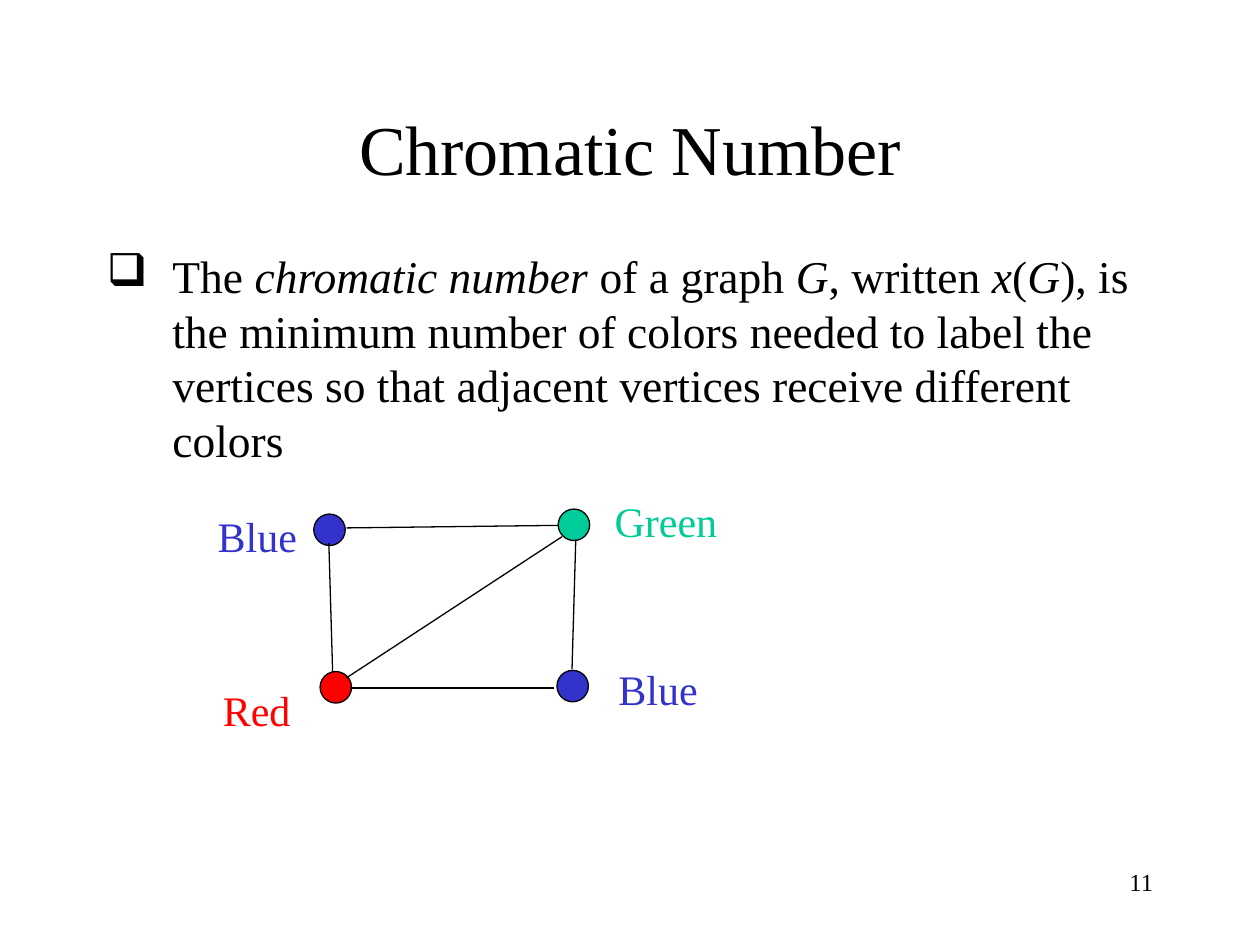
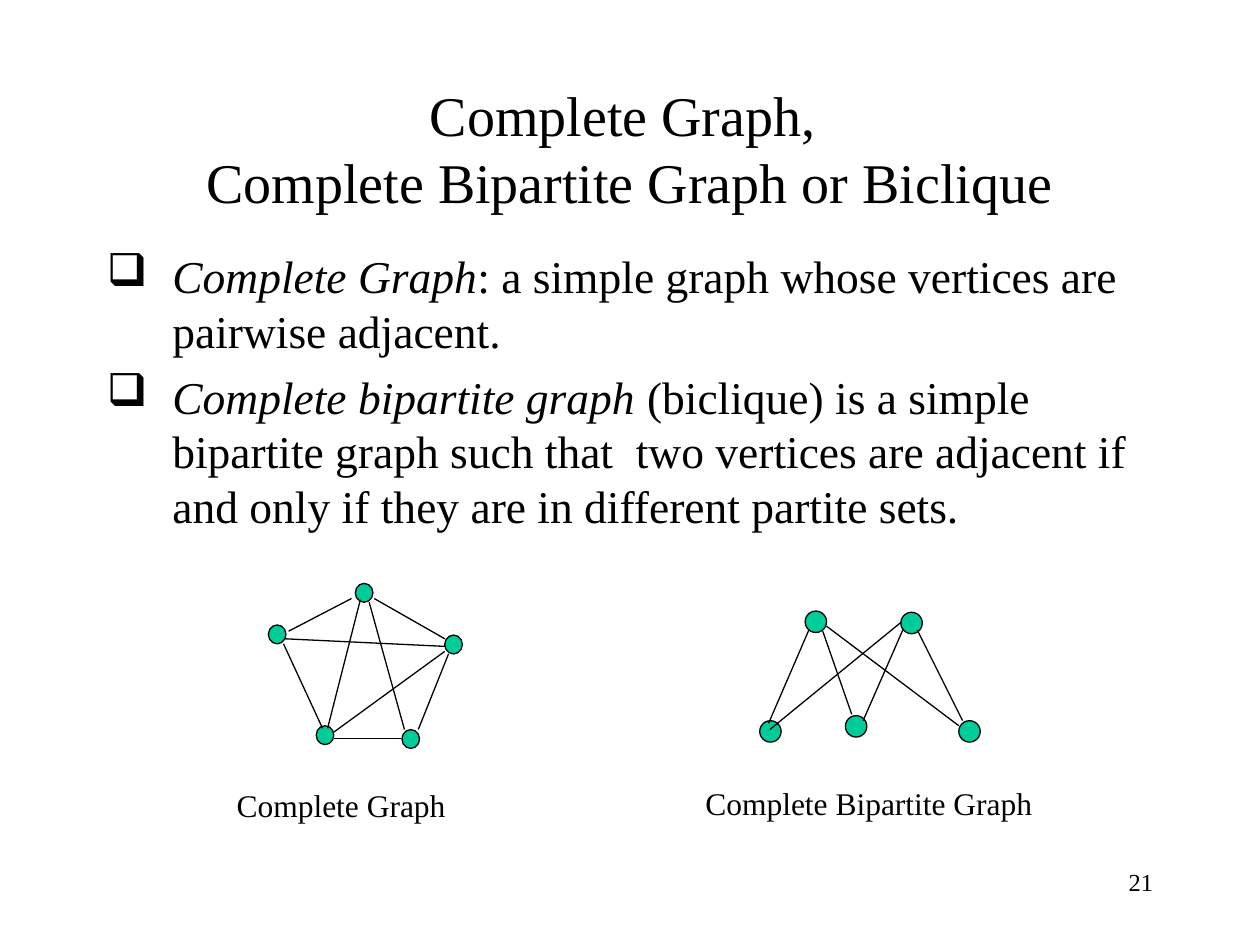
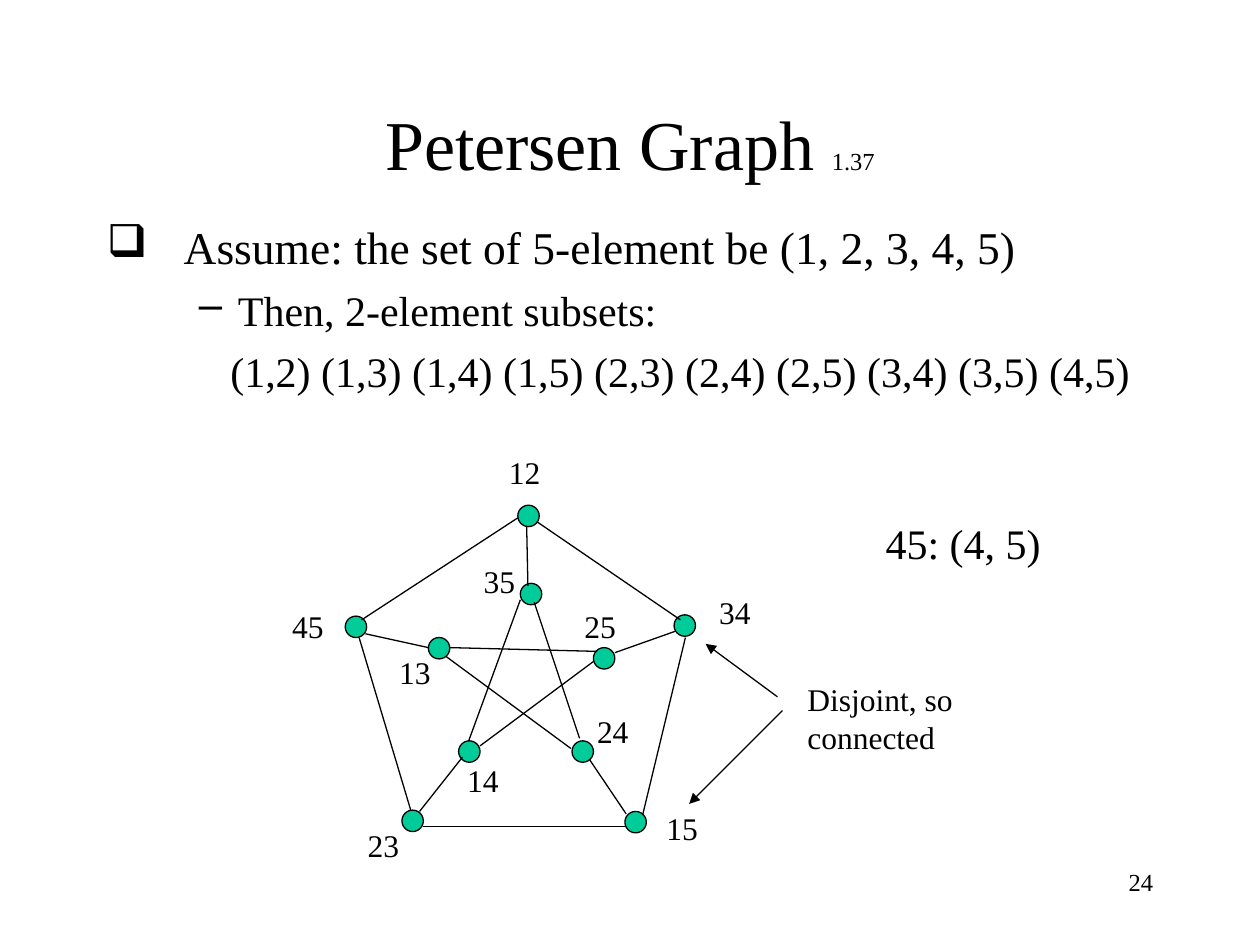
"""Build three graph theory slides: chromatic number, complete graphs, Petersen graph."""
from dataclasses import dataclass

from lxml import etree
from pptx import Presentation
from pptx.dml.color import RGBColor
from pptx.enum.shapes import MSO_CONNECTOR, MSO_SHAPE
from pptx.enum.text import MSO_ANCHOR, MSO_AUTO_SIZE, PP_ALIGN
from pptx.oxml.ns import qn
from pptx.shapes.shapetree import GroupShapes, SlideShapes
from pptx.slide import Slide
from pptx.text.text import TextFrame
from pptx.util import Pt

EMU_PER_PX = 9144
TITLE_ONLY = 5
FONT = "Times New Roman"
SQUARE, DASH = "❑", "–"

BLACK = RGBColor(0x00, 0x00, 0x00)
BLUE = RGBColor(0x33, 0x33, 0xCC)
GREEN = RGBColor(0x00, 0xCC, 0x99)
RED = RGBColor(0xFF, 0x00, 0x00)

LEFT, CENTER, RIGHT = PP_ALIGN.LEFT, PP_ALIGN.CENTER, PP_ALIGN.RIGHT
TOP, MIDDLE = MSO_ANCHOR.TOP, MSO_ANCHOR.MIDDLE
NO_AUTOFIT = MSO_AUTO_SIZE.NONE
ELLIPSE, STRAIGHT = MSO_SHAPE.OVAL, MSO_CONNECTOR.STRAIGHT

Shapes = SlideShapes | GroupShapes


@dataclass(frozen=True)
class Box:
    left: int
    top: int
    width: int
    height: int

    def emu(self) -> tuple[int, int, int, int]:
        """Return the box in EMU."""
        return px(self.left), px(self.top), px(self.width), px(self.height)


@dataclass(frozen=True)
class Run:
    text: str
    italic: bool = False
    size: int | None = None
    break_after: bool = False


@dataclass(frozen=True)
class Para:
    runs: tuple[Run, ...]
    size: int = 26
    color: RGBColor = BLACK
    align: PP_ALIGN = LEFT
    bullet: str = ""
    margin: int = 0
    hanging: int = 0
    space_before: float = 0


@dataclass(frozen=True)
class Vertex:
    left: int
    top: int
    color: RGBColor = GREEN


@dataclass(frozen=True)
class Edge:
    x1: int
    y1: int
    x2: int
    y2: int
    arrow: bool = False


@dataclass(frozen=True)
class Label:
    text: str
    box: Box
    size: int = 18
    color: RGBColor = BLACK


@dataclass(frozen=True)
class Graph:
    vertex_size: tuple[int, int]
    vertices: tuple[Vertex, ...]
    edges: tuple[Edge, ...]
    labels: tuple[Label, ...] = ()
    grouped: bool = True


@dataclass(frozen=True)
class GraphSlide:
    number: int
    title: Para
    title_box: Box
    body: tuple[Para, ...]
    body_box: Box
    graphs: tuple[Graph, ...]
    labels: tuple[Label, ...] = ()
    arrows: tuple[Edge, ...] = ()


TITLE_BOX = Box(75, 67, 850, 100)
NUMBER_BOX = Box(717, 683, 208, 50)


def px(length: int) -> int:
    """Turn px into EMU."""
    return length * EMU_PER_PX


def title_para(*runs: Run, size: int = 40) -> Para:
    """Describe a centred title."""
    return Para(runs, size, align=CENTER)


def square_item(*runs: Run, margin: int = 52, space_before: float = 0) -> Para:
    """Describe a first-level item with a square bullet."""
    return Para(runs, bullet=SQUARE, margin=margin, hanging=margin, space_before=space_before)


def number_label(text: str, left: int, top: int) -> Label:
    """Describe the label of a Petersen graph vertex."""
    return Label(text, Box(left, top, 67, 40))


CHROMATIC_GRAPH = Graph(
    (25, 25),
    (Vertex(249, 408, BLUE), Vertex(443, 404), Vertex(254, 533, RED), Vertex(442, 532, BLUE)),
    (
        Edge(261, 431, 264, 533),
        Edge(278, 546, 440, 546),
        Edge(457, 428, 454, 531),
        Edge(275, 419, 443, 417),
        Edge(446, 426, 275, 538),
    ),
    (
        Label("Red", Box(167, 538, 79, 50), 24, RED),
        Label("Green", Box(478, 388, 103, 50), 24, GREEN),
        Label("Blue", Box(481, 522, 104, 50), 24, BLUE),
        Label("Blue", Box(163, 400, 87, 50), 24, BLUE),
    ),
    grouped=False,
)

COMPLETE_GRAPH = Graph(
    (14, 15),
    (Vertex(282, 463), Vertex(213, 496), Vertex(353, 504), Vertex(319, 579), Vertex(251, 576)),
    (
        Edge(279, 475, 229, 501),
        Edge(297, 475, 353, 507),
        Edge(225, 511, 256, 578),
        Edge(265, 586, 318, 586),
        Edge(356, 519, 332, 579),
        Edge(286, 476, 260, 578),
        Edge(226, 507, 353, 513),
        Edge(293, 478, 321, 579),
        Edge(265, 581, 353, 517),
    ),
)

BICLIQUE = Graph(
    (17, 17),
    (Vertex(715, 486), Vertex(639, 485), Vertex(603, 572), Vertex(671, 568), Vertex(761, 572)),
    (
        Edge(642, 500, 610, 574),
        Edge(653, 501, 676, 567),
        Edge(717, 499, 685, 572),
        Edge(728, 500, 764, 572),
        Edge(656, 497, 761, 576),
        Edge(715, 494, 611, 579),
    ),
)

PETERSEN_GRAPH = Graph(
    (17, 17),
    (
        Vertex(411, 401), Vertex(274, 489), Vertex(535, 488), Vertex(496, 644), Vertex(319, 643),
        Vertex(471, 514), Vertex(454, 588), Vertex(364, 588), Vertex(340, 506), Vertex(413, 463),
    ),
    (
        Edge(460, 586, 424, 478),
        Edge(413, 476, 372, 588),
        Edge(357, 514, 474, 517),
        Edge(471, 525, 381, 592),
        Edge(354, 521, 453, 594),
        Edge(418, 418, 419, 465),
        Edge(290, 503, 340, 514),
        Edge(333, 644, 367, 601),
        Edge(497, 646, 468, 603),
        Edge(488, 518, 536, 501),
        Edge(411, 411, 287, 492),
        Edge(285, 506, 326, 643),
        Edge(336, 656, 496, 656),
        Edge(544, 506, 510, 647),
        Edge(426, 414, 540, 492),
    ),
    (
        number_label("12", 394, 355),
        number_label("34", 561, 466),
        number_label("15", 519, 637),
        number_label("23", 282, 651),
        number_label("45", 222, 477),
        number_label("35", 374, 441),
        number_label("13", 307, 513),
        number_label("14", 361, 599),
        number_label("24", 464, 560),
        number_label("25", 454, 477),
    ),
)

SLIDES = (
    GraphSlide(
        11,
        title_para(Run("Chromatic Number")),
        TITLE_BOX,
        (
            square_item(
                Run("The "),
                Run("chromatic number", italic=True),
                Run(" of a graph "),
                Run("G", italic=True),
                Run(", written "),
                Run("x", italic=True),
                Run("("),
                Run("G", italic=True),
                Run("), is the minimum number of colors needed to label the vertices "
                    "so that adjacent vertices receive different colors"),
            ),
        ),
        Box(75, 192, 850, 475),
        (CHROMATIC_GRAPH,),
    ),
    GraphSlide(
        21,
        title_para(
            Run("Complete Graph, ", break_after=True),
            Run("Complete Bipartite Graph or Biclique"),
            size=32,
        ),
        TITLE_BOX,
        (
            square_item(
                Run("Complete Graph", italic=True),
                Run(": a simple graph whose vertices are pairwise adjacent."),
            ),
            square_item(
                Run("Complete bipartite graph", italic=True),
                Run(" (biclique) is a simple bipartite graph such that  two vertices "
                    "are adjacent if and only if they are in different partite sets."),
                space_before=6.5,
            ),
        ),
        Box(75, 192, 850, 249),
        (COMPLETE_GRAPH, BICLIQUE),
        (
            Label("Complete Graph", Box(178, 619, 267, 40)),
            Label("Complete Bipartite Graph", Box(550, 617, 314, 40)),
        ),
    ),
    GraphSlide(
        24,
        title_para(Run("Petersen Graph "), Run("1.37", size=14)),
        Box(75, 67, 850, 92),
        (
            square_item(Run("Assume: the set of 5-element be (1, 2, 3, 4, 5)"), margin=61),
            Para((Run("Then, 2-element subsets:"),), 24, bullet=DASH,
                 margin=104, hanging=31, space_before=6),
            Para((Run("(1,2) (1,3) (1,4) (1,5) (2,3) (2,4) (2,5) (3,4) (3,5) (4,5)"),), 24,
                 margin=98, space_before=6),
        ),
        Box(75, 169, 850, 161),
        (PETERSEN_GRAPH,),
        (
            Label("Disjoint, so connected", Box(631, 535, 143, 70)),
            Label("45: (4, 5)", Box(693, 406, 149, 50), 24),
        ),
        (Edge(617, 553, 560, 511, arrow=True), Edge(621, 564, 547, 638, arrow=True)),
    ),
)


def write_text(text_frame: TextFrame, paras: tuple[Para, ...], anchor: MSO_ANCHOR = TOP) -> None:
    """Fill a text frame with formatted paragraphs."""
    text_frame.word_wrap = True
    text_frame.auto_size = NO_AUTOFIT
    text_frame.vertical_anchor = anchor
    for index, para in enumerate(paras):
        paragraph = text_frame.add_paragraph() if index else text_frame.paragraphs[0]
        properties = paragraph._p.get_or_add_pPr()
        properties.set("marL", str(px(para.margin)))
        properties.set("indent", str(-px(para.hanging)))
        if para.bullet:
            etree.SubElement(properties, qn("a:buChar"), char=para.bullet)
        paragraph.alignment = para.align
        paragraph.space_before = Pt(para.space_before)
        for part in para.runs:
            size = part.size or para.size
            run = paragraph.add_run()
            run.text = part.text
            run.font.name = FONT
            run.font.size = Pt(size)
            run.font.italic = part.italic
            run.font.color.rgb = para.color
            if part.break_after:
                paragraph.add_line_break()
                etree.SubElement(paragraph._p[-1], qn("a:rPr"), sz=str(size * 100))


def add_text(shapes: Shapes, box: Box, *paras: Para) -> None:
    """Add a text box."""
    write_text(shapes.add_textbox(*box.emu()).text_frame, paras)


def add_label(shapes: Shapes, label: Label) -> None:
    """Add a one-paragraph label."""
    add_text(shapes, label.box, Para((Run(label.text),), label.size, label.color))


def add_vertex(shapes: Shapes, vertex: Vertex, size: tuple[int, int]) -> None:
    """Add a filled vertex with a thin outline."""
    shape = shapes.add_shape(ELLIPSE, *Box(vertex.left, vertex.top, *size).emu())
    shape.shadow.inherit = False
    shape.fill.solid()
    shape.fill.fore_color.rgb = vertex.color
    shape.line.color.rgb = BLACK
    shape.line.width = Pt(0.75)


def add_edge(shapes: Shapes, edge: Edge) -> None:
    """Add a thin line, with an arrowhead at its end if asked for."""
    connector = shapes.add_connector(
        STRAIGHT, px(edge.x1), px(edge.y1), px(edge.x2), px(edge.y2))
    connector.line.color.rgb = BLACK
    connector.line.width = Pt(0.75)
    properties = connector._element.spPr
    if edge.arrow:
        etree.SubElement(properties.find(qn("a:ln")), qn("a:tailEnd"), type="triangle")
    etree.SubElement(properties, qn("a:effectLst"))


def add_graph(slide: Slide, graph: Graph) -> None:
    """Add the vertices, edges and labels of a graph."""
    shapes = slide.shapes.add_group_shape().shapes if graph.grouped else slide.shapes
    for vertex in graph.vertices:
        add_vertex(shapes, vertex, graph.vertex_size)
    for edge in graph.edges:
        add_edge(shapes, edge)
    for label in graph.labels:
        add_label(shapes, label)


def fill_slide(slide: Slide, content: GraphSlide) -> None:
    """Fill a slide with title, body, graphs, labels beside them and number."""
    title = slide.shapes.title
    title.left, title.top, title.width, title.height = content.title_box.emu()
    write_text(title.text_frame, (content.title,), MIDDLE)
    add_text(slide.shapes, content.body_box, *content.body)
    for graph in content.graphs:
        add_graph(slide, graph)
    for label in content.labels:
        add_label(slide.shapes, label)
    for arrow in content.arrows:
        add_edge(slide.shapes, arrow)
    add_text(slide.shapes, NUMBER_BOX, Para((Run(str(content.number)),), 14, align=RIGHT))


def main() -> None:
    """Build and save the presentation."""
    presentation = Presentation()
    presentation.slide_width, presentation.slide_height = px(1000), px(750)
    layout = presentation.slide_layouts[TITLE_ONLY]
    for content in SLIDES:
        fill_slide(presentation.slides.add_slide(layout), content)
    presentation.save("out.pptx")


if __name__ == "__main__":
    main()
